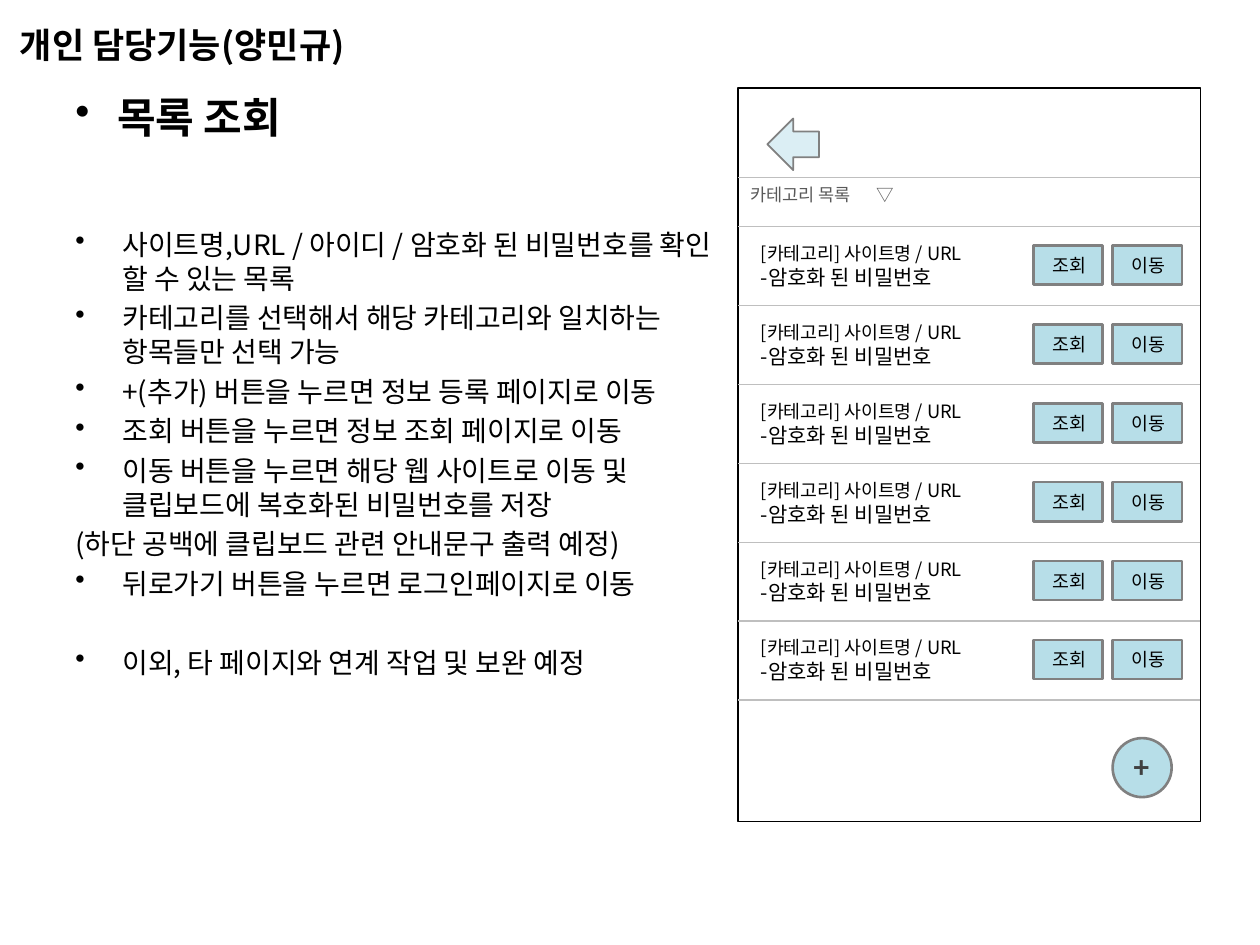
from lxml.etree import SubElement
from pptx import Presentation
from pptx.dml.color import RGBColor
from pptx.enum.shapes import MSO_CONNECTOR, MSO_SHAPE as Preset
from pptx.enum.text import MSO_ANCHOR as Anchor, PP_ALIGN as Align
from pptx.oxml.ns import qn
from pptx.util import Cm, Pt

FONT = "Noto Sans CJK KR"
BLACK, GRAY, BLUE = "000000", "808080", "B7DEE8"
color = RGBColor.from_string


def write(frame, lines, color_hex=BLACK, bold=False, align=Align.LEFT,
          anchor=Anchor.TOP, insets=(0.25, 0.13, 0.25, 0.13), wrap=True):
    frame.word_wrap = wrap
    frame.vertical_anchor = anchor
    frame.margin_left, frame.margin_top, frame.margin_right, frame.margin_bottom = map(Cm, insets)
    for index, (text, size, hanging, before, tab) in enumerate(lines):
        paragraph = frame.add_paragraph() if index else frame.paragraphs[0]
        paragraph.text = text
        paragraph.alignment = align
        paragraph.line_spacing = Pt(round(size * 1.21, 1))
        paragraph.space_before = Pt(before)
        properties = paragraph._p.get_or_add_pPr()
        if hanging:
            properties.set("marL", str(Cm(hanging)))
            properties.set("indent", str(-Cm(hanging)))
            SubElement(properties, qn("a:buChar"), char="•")
        else:
            properties.set("marL", "0")
            properties.set("indent", "0")
            SubElement(properties, qn("a:buNone"))
        if tab:
            tabs = SubElement(properties, qn("a:tabLst"))
            SubElement(tabs, qn("a:tab"), pos=str(Cm(tab)), algn="r")
        font = paragraph.font
        font.size, font.bold, font.name = Pt(size), bold, FONT
        font.color.rgb = color(color_hex)
        SubElement(font._rPr, qn("a:ea"), typeface=FONT)


def add_box(preset, left, top, width, height, fill, line, line_width):
    shape = slide.shapes.add_shape(preset, Cm(left), Cm(top), Cm(width), Cm(height))
    shape.shadow.inherit = False
    if fill:
        shape.fill.solid()
        shape.fill.fore_color.rgb = color(fill)
    else:
        shape.fill.background()
    shape.line.color.rgb = color(line)
    shape.line.width = Pt(line_width)
    return shape


presentation = Presentation()
presentation.slide_width, presentation.slide_height = Cm(25.4), Cm(19.05)
slide = presentation.slides.add_slide(presentation.slide_layouts[5])

title = slide.shapes.title
title.left, title.top, title.width, title.height = Cm(1.27), Cm(0.76), Cm(22.86), Cm(3.18)
write(title.text_frame, [("목록 조회", 24, 0.84, 0, None)], bold=True, anchor=Anchor.MIDDLE)

features = [
    ("사이트명,URL / 아이디 / 암호화 된 비밀번호를 확인 할 수 있는 목록", 0.95, 3.2),
    ("카테고리를 선택해서 해당 카테고리와 일치하는 항목들만 선택 가능", 0.95, 3.2),
    ("+(추가) 버튼을 누르면 정보 등록 페이지로 이동", 0.95, 3.2),
    ("조회 버튼을 누르면 정보 조회 페이지로 이동", 0.95, 3.2),
    ("이동 버튼을 누르면 해당 웹 사이트로 이동 및 클립보드에 복호화된 비밀번호를 저장", 0.95, 3.2),
    ("(하단 공백에 클립보드 관련 안내문구 출력 예정)", 0, 3.2),
    ("뒤로가기 버튼을 누르면 로그인페이지로 이동", 0.95, 3.2),
    ("이외, 타 페이지와 연계 작업 및 보완 예정", 0.95, 25.7),
]
feature_list = slide.shapes.add_textbox(Cm(1.27), Cm(4.45), Cm(13.41), Cm(12.01))
write(feature_list.text_frame,
      [(text, 16, hanging, before, None) for text, hanging, before in features])

screen_left, screen_width = 14.88, 9.32
add_box(Preset.RECTANGLE, screen_left, 1.78, screen_width, 14.78, None, BLACK, 1)
add_box(Preset.LEFT_ARROW, 15.47, 2.39, 1.04, 1.04, "DBEEF4", GRAY, 1)

category = slide.shapes.add_textbox(Cm(screen_left), Cm(3.58), Cm(screen_width), Cm(0.69))
write(category.text_frame, [("카테고리 목록\t▽", 10, 0, 0, 8.64)], "595959",
      insets=(0.25, 0.13, 0, 0.13))

first_row, row_height, row_count = 4.57, 1.59, 6
row_tops = [first_row + row * row_height for row in range(row_count)]
for top in row_tops:
    entry = slide.shapes.add_textbox(Cm(15.09), Cm(top + 0.18), Cm(4.95), Cm(1.22))
    write(entry.text_frame, [("[카테고리] 사이트명 / URL", 10.5, 0, 0, None),
                             ("-암호화 된 비밀번호", 12, 0, 0, None)], wrap=False)
    for label, left in (("조회", 20.83), ("이동", 22.43)):
        button = add_box(Preset.RECTANGLE, left, top + 0.38, 1.4, 0.79, BLUE, GRAY, 1.5)
        write(button.text_frame, [(label, 10.5, 0, 0, None)], align=Align.CENTER,
              anchor=Anchor.MIDDLE, insets=(0.3, 0.13, 0.25, 0.13))

for y in [3.58, *row_tops, first_row + row_count * row_height]:
    divider = slide.shapes.add_connector(
        MSO_CONNECTOR.STRAIGHT, Cm(screen_left), Cm(y), Cm(screen_left + screen_width), Cm(y))
    divider.line.color.rgb = color("BFBFBF")
    divider.line.width = Pt(0.75)
    SubElement(divider._element.spPr, qn("a:effectLst"))

add_button = add_box(Preset.OVAL, 22.43, 14.88, 1.19, 1.19, BLUE, GRAY, 1.5)
write(add_button.text_frame, [("+", 16, 0, 0, None)], "404040", True, Align.CENTER,
      Anchor.MIDDLE, (0, 0, 0, 0))

heading = slide.shapes.add_textbox(Cm(0.3), Cm(0.33), Cm(7.59), Cm(1.12))
write(heading.text_frame, [("개인 담당기능(양민규)", 20, 0, 0, None)], bold=True,
      insets=(0.1, 0.13, 0.1, 0.13))

presentation.save("out.pptx")
